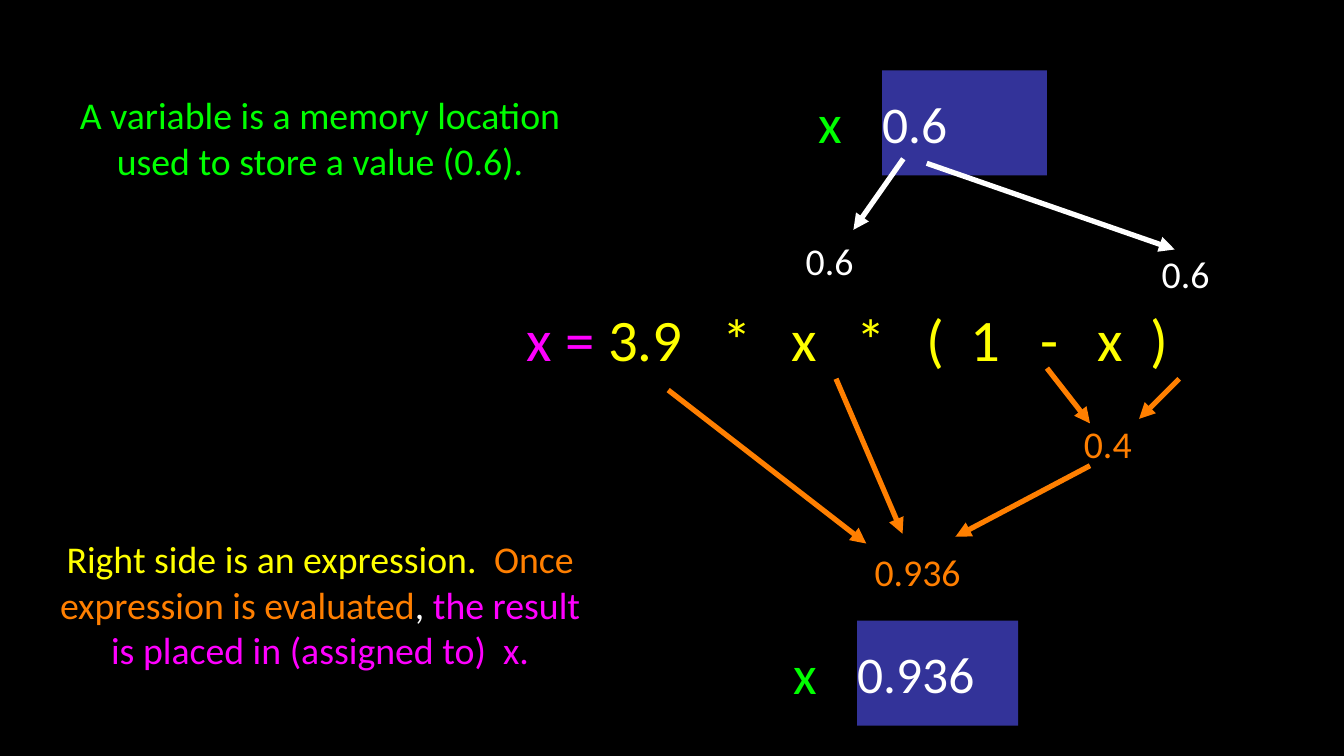
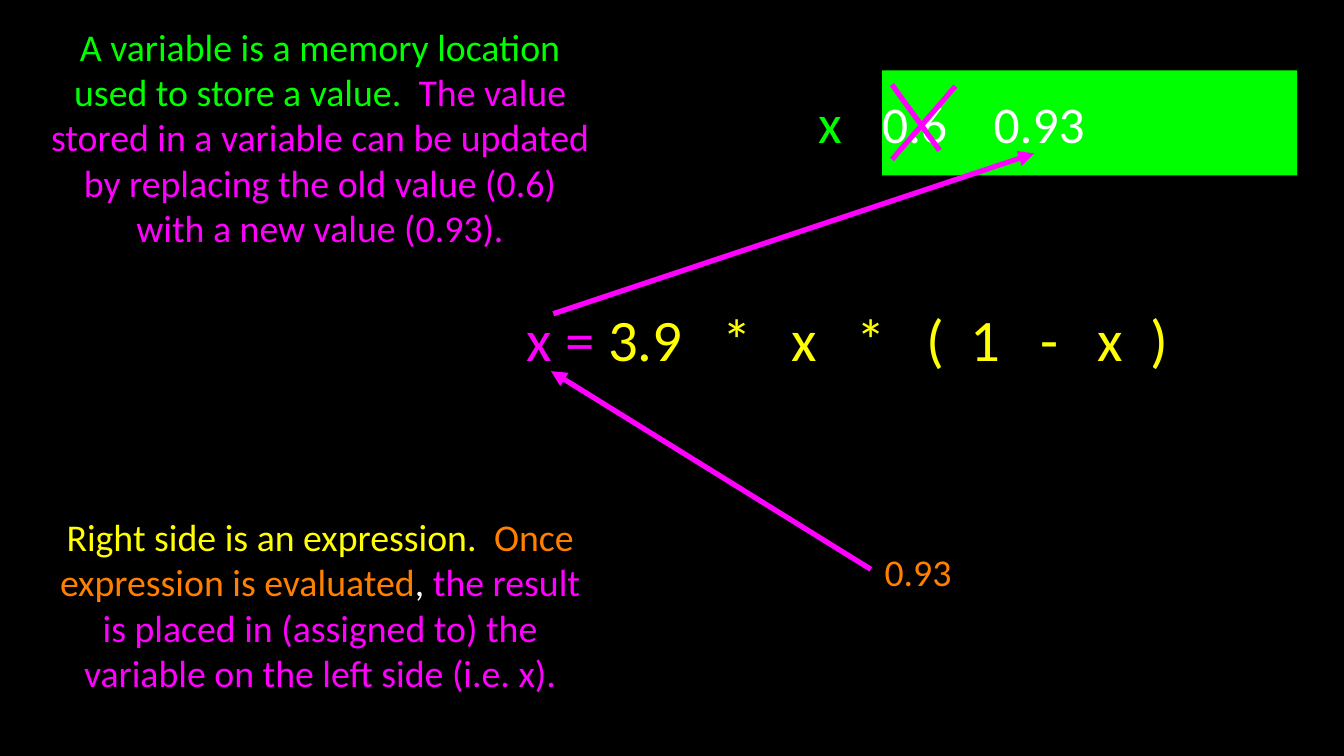
from lxml import etree
from pptx import Presentation
from pptx.dml.color import RGBColor
from pptx.enum.shapes import MSO_CONNECTOR, MSO_SHAPE
from pptx.enum.text import MSO_ANCHOR, MSO_AUTO_SIZE, PP_ALIGN
from pptx.oxml.ns import qn
from pptx.util import Inches, Pt

STRAIGHT = MSO_CONNECTOR.STRAIGHT
RECTANGLE = MSO_SHAPE.RECTANGLE
MIDDLE = MSO_ANCHOR.MIDDLE
FIT_SHAPE = MSO_AUTO_SIZE.SHAPE_TO_FIT_TEXT
NO_FIT = MSO_AUTO_SIZE.NONE
LEFT, CENTER = PP_ALIGN.LEFT, PP_ALIGN.CENTER

BLACK = RGBColor(0x00, 0x00, 0x00)
WHITE = RGBColor(0xFF, 0xFF, 0xFF)
GREEN = RGBColor(0x00, 0xFF, 0x00)
YELLOW = RGBColor(0xFF, 0xFF, 0x00)
ORANGE = RGBColor(0xFF, 0x7F, 0x00)
MAGENTA = RGBColor(0xFF, 0x00, 0xFF)
INDIGO = RGBColor(0x33, 0x33, 0x99)

FONT = "Calibri"
BODY_SIZE, MEMORY_SIZE, NAME_SIZE, EQUATION_SIZE = 36, 49, 52, 56
LINE_WIDTH = 5
NOTE_LEFT, NOTE_WIDTH = 0.64, 7.19
MEMORY_HEIGHT = 1.39
MEMORY_LEFT, MEMORY_TOP = 11.67, 0.93
RESULT_TOP = 7.26


def write_text(shape, runs, size, alignment=CENTER, wrap=True):
    """Fill the shape with one paragraph of (text, colour) runs."""
    frame = shape.text_frame
    frame_format = {
        "margin_left": 0, "margin_top": 0, "margin_right": 0, "margin_bottom": 0,
        "vertical_anchor": MIDDLE, "word_wrap": wrap,
        "auto_size": NO_FIT if wrap else FIT_SHAPE,
    }
    for name, value in frame_format.items():
        setattr(frame, name, value)
    paragraph = frame.paragraphs[0]
    paragraph.alignment = alignment
    for text, color in runs:
        run = paragraph.add_run()
        run.text = text
        for name, value in {"name": FONT, "size": Pt(size)}.items():
            setattr(run.font, name, value)
        run.font.color.rgb = color


def add_text(slide, box, runs, size=BODY_SIZE, alignment=CENTER, wrap=False):
    shape = slide.shapes.add_textbox(*map(Inches, box))
    write_text(shape, runs, size, alignment, wrap)


def add_note(slide, top, height, runs):
    """Add a wrapped explanation in the left column."""
    add_text(slide, (NOTE_LEFT, top, NOTE_WIDTH, height), runs, wrap=True)


def add_value(slide, left, top, text, color, width=0.71):
    add_text(slide, (left, top, width, 0.6), [(text, color)])


def add_memory(slide, left, top, width, value, color):
    """Add the memory cell of x with its name to the left."""
    cell = slide.shapes.add_shape(
        RECTANGLE, *map(Inches, (left, top, width, MEMORY_HEIGHT)))
    cell.shadow.inherit = False
    cell.fill.solid()
    cell.fill.fore_color.rgb = color
    cell.line.fill.background()
    write_text(cell, [(value, WHITE)], MEMORY_SIZE, LEFT)
    add_text(slide, (left - 0.88, top + 0.25, 0.38, 0.87), [("x", GREEN)], NAME_SIZE)


def add_equation(slide):
    runs = [("x = ", MAGENTA), ("3.9   *   x   *   (  1   -   x  )", YELLOW)]
    add_text(slide, (6.97, 4.01, 9.66, 0.93), runs, EQUATION_SIZE, LEFT)


def add_line(slide, begin, end, color, arrow=False):
    """Draw a line; an arrow has its tip at begin."""
    connector = slide.shapes.add_connector(STRAIGHT, *map(Inches, begin + end))
    connector.line.color.rgb = color
    connector.line.width = Pt(LINE_WIDTH)
    if arrow:
        outline = connector.line._get_or_add_ln()
        etree.SubElement(outline, qn("a:headEnd"), type="triangle")
    etree.SubElement(connector._element.spPr, qn("a:effectLst"))


def add_arrows(slide, color, arrows):
    for tip, start in arrows:
        add_line(slide, tip, start, color, arrow=True)


def expression_note(ending):
    return [
        ("Right side is an expression.  ", YELLOW),
        ("Once expression is evaluated", ORANGE),
        (", ", WHITE),
        ("the result is placed in (assigned to) " + ending, MAGENTA),
    ]


def build_evaluation(slide):
    add_equation(slide)
    add_memory(slide, MEMORY_LEFT, MEMORY_TOP, 2.18, "0.6", INDIGO)
    add_note(slide, 7.08, 1.82, expression_note(" x."))

    add_value(slide, 10.62, 3.15, "0.6", WHITE)
    add_value(slide, 15.33, 3.32, "0.6", WHITE)
    add_arrows(slide, WHITE, [
        ((11.29, 3.04), (11.95, 2.1)),
        ((15.54, 3.3), (12.26, 2.16)),
    ])

    add_value(slide, 14.3, 5.57, "0.4", ORANGE)
    add_value(slide, 11.5, RESULT_TOP, "0.936", ORANGE, width=1.28)
    add_arrows(slide, ORANGE, [
        ((11.46, 7.19), (8.84, 5.16)),
        ((11.94, 7.06), (11.06, 5.01)),
        ((12.64, 7.1), (14.42, 6.16)),
        ((15.07, 5.54), (15.6, 5.01)),
        ((14.42, 5.6), (13.85, 4.87)),
    ])

    add_note(slide, 1.19, 1.25, [
        ("A variable is a memory location used to store a value (0.6).", GREEN),
    ])
    add_memory(slide, 11.34, 8.21, 2.13, "0.936", INDIGO)


def build_assignment(slide):
    add_equation(slide)
    add_memory(slide, MEMORY_LEFT, MEMORY_TOP, 5.49, "0.6    0.93", GREEN)
    add_note(slide, 6.8, 2.39,
             expression_note("the variable on the left side (i.e. x)."))
    add_value(slide, 11.65, RESULT_TOP, "0.93", ORANGE, width=0.99)
    add_note(slide, 0.33, 2.96, [
        ("A variable is a memory location used to store a value.  ", GREEN),
        ("The value stored in a variable can be updated by replacing "
         "the old value (0.6) with a new value (0.93).", MAGENTA),
    ])
    add_arrows(slide, MAGENTA, [
        ((7.29, 4.91), (11.52, 7.53)),
        ((13.68, 2.03), (7.32, 4.15)),
    ])
    cross_strokes = [((12.64, 1.14), (11.8, 2.11)), ((11.8, 1.12), (12.43, 1.99))]
    for begin, end in cross_strokes:
        add_line(slide, begin, end, MAGENTA)


def main():
    presentation = Presentation()
    presentation.slide_width = Inches(17.78)
    presentation.slide_height = Inches(10)
    background = presentation.slide_master.background.fill
    background.solid()
    background.fore_color.rgb = BLACK
    blank_layout = presentation.slide_layouts.get_by_name("Blank")
    for build in (build_evaluation, build_assignment):
        build(presentation.slides.add_slide(blank_layout))
    presentation.save("out.pptx")


if __name__ == "__main__":
    main()
